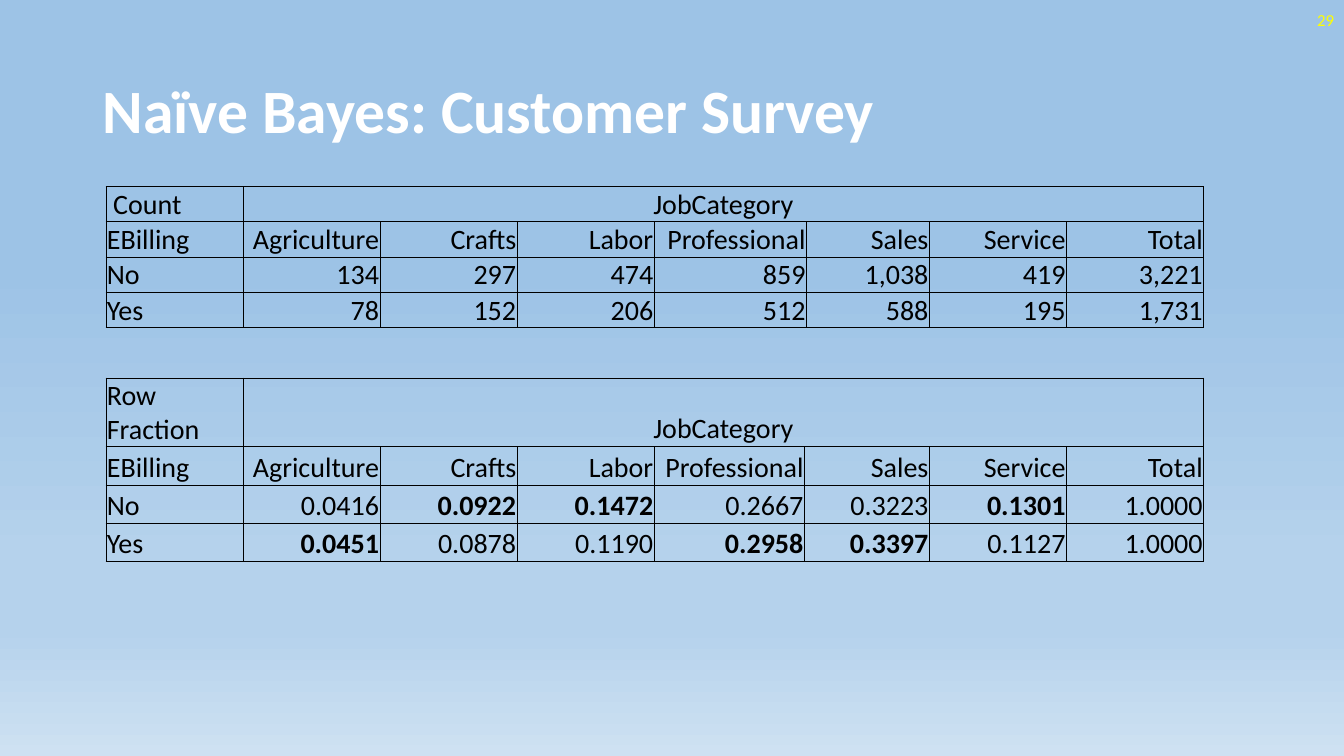
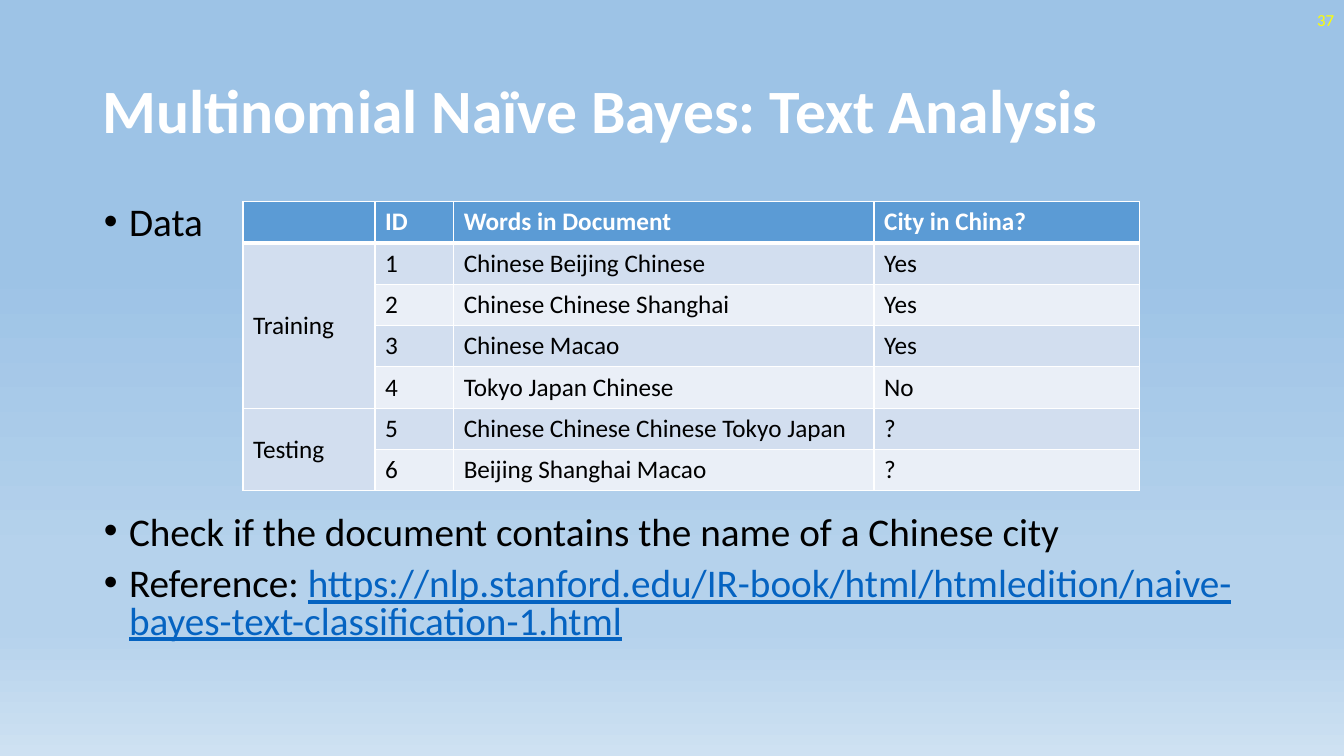
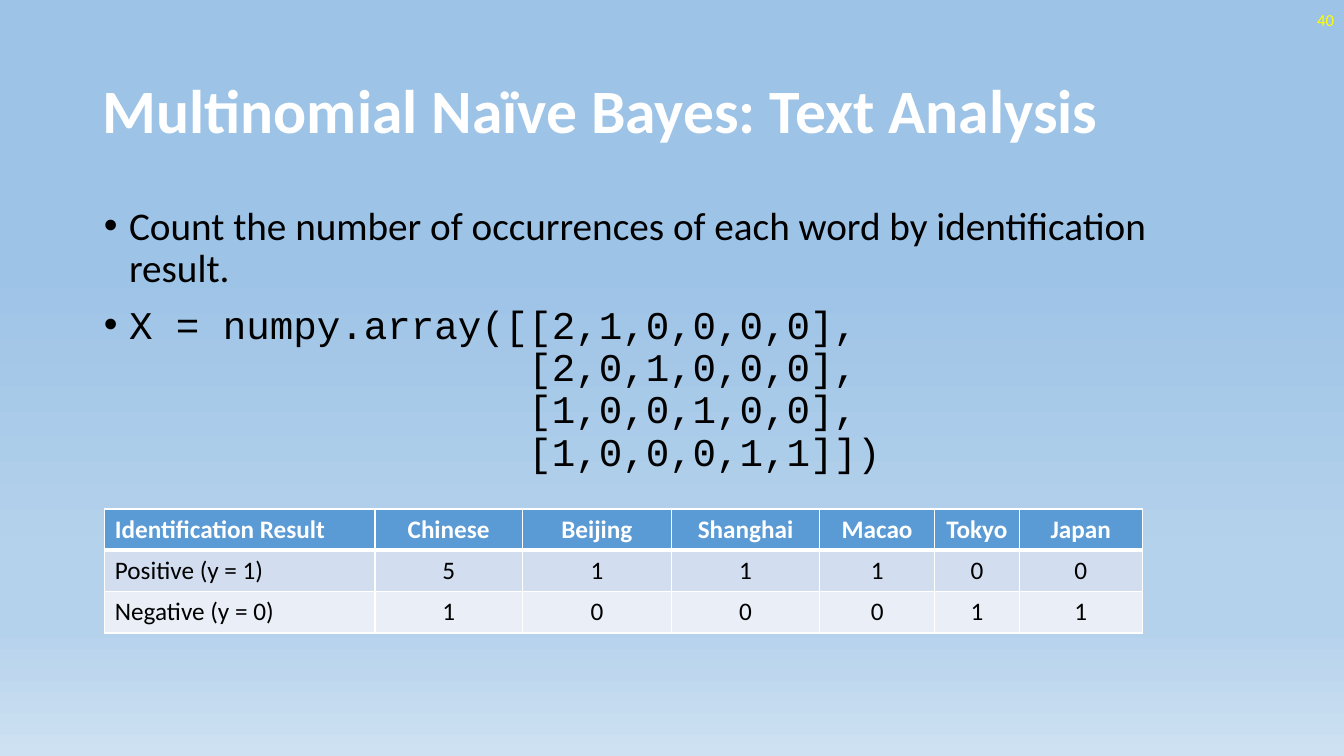
"""Build three lecture slides on naïve Bayes with tables of counts and documents."""
from lxml import etree
from pptx import Presentation
from pptx.dml.color import RGBColor
from pptx.enum.text import MSO_ANCHOR, MSO_AUTO_SIZE, PP_ALIGN
from pptx.oxml.ns import qn
from pptx.util import Inches, Pt

LEFT, CENTER, RIGHT = PP_ALIGN.LEFT, PP_ALIGN.CENTER, PP_ALIGN.RIGHT
MIDDLE, BOTTOM = MSO_ANCHOR.MIDDLE, MSO_ANCHOR.BOTTOM
NO_AUTOFIT = MSO_AUTO_SIZE.NONE

FONT, CODE_FONT = "Calibri", "Courier New"
BLACK, WHITE, YELLOW, LINK = "000000", "FFFFFF", "FFFF00", "0563C1"
HEADER, BANDS = "5B9BD5", ("D2DEEF", "EAEFF7")
SKY = [(35, "9DC3E6"), (74, "B5D2EC"), (83, "B5D2EC"), (100, "CEE1F2")]

TITLE_BOX = (0.92, 0.4, 11.5, 1.45)
BODY_BOX = (0.93, 2, 11.5, 4.76)
NUMBER_BOX = (10.33, 0, 3, 0.4)
TITLE_LAYOUT, BODY_LAYOUT = 5, 1

JOBS = ["EBilling", "Agriculture", "Crafts", "Labor", "Professional", "Sales", "Service", "Total"]
COUNTS = [
    ["No", "134", "297", "474", "859", "1,038", "419", "3,221"],
    ["Yes", "78", "152", "206", "512", "588", "195", "1,731"],
]
FRACTIONS = [
    ["No", "0.0416", "0.0922", "0.1472", "0.2667", "0.3223", "0.1301", "1.0000"],
    ["Yes", "0.0451", "0.0878", "0.1190", "0.2958", "0.3397", "0.1127", "1.0000"],
]
SURVEYS = [
    (" Count", COUNTS, 1.85, (1.51, 1.22), [0.35] * 4),
    ("Row Fraction", FRACTIONS, 3.75, (1.49, 1.24), [0.68] + [0.38] * 3),
]

DOCUMENTS = [
    ["", "ID", "Words in Document", "City in China?"],
    ["Training", "1", "Chinese Beijing Chinese", "Yes"],
    ["", "2", "Chinese Chinese Shanghai", "Yes"],
    ["", "3", "Chinese Macao", "Yes"],
    ["", "4", "Tokyo Japan Chinese", "No"],
    ["Testing", "5", "Chinese Chinese Chinese Tokyo Japan", "?"],
    ["", "6", "Beijing Shanghai Macao", "?"],
]
DOCUMENT_GROUPS = [(1, 4), (5, 6)]
TASK = [
    [("Data", {})],
    [("Check if the document contains the name of a Chinese city", {})],
    [("Reference: ", {}),
     ("https://nlp.stanford.edu/IR-book/html/htmledition/naive-bayes-text-classification-1.html",
      {"color": LINK, "underline": True})],
]

OCCURRENCES = [
    ["Identification Result", "Chinese", "Beijing", "Shanghai", "Macao", "Tokyo", "Japan"],
    ["Positive (y = 1)", "5", "1", "1", "1", "0", "0"],
    ["Negative (y = 0)", "1", "0", "0", "0", "1", "1"],
]
COUNTING = [
    [("Count the number of occurrences of each word by identification result.", {})],
    [("""X = numpy.array([[2,1,0,0,0,0],
                 [2,0,1,0,0,0],
                 [1,0,0,1,0,0],
                 [1,0,0,0,1,1]])""", {"name": CODE_FONT})],
]


def rgb(code):
    return RGBColor.from_string(code)


def style(paragraph, size, color=BLACK, bold=False, name=FONT, underline=False):
    for run in paragraph.runs:
        font = run.font
        font.size, font.name, font.bold = Pt(size), name, bold
        font.color.rgb = rgb(color)
        if underline:
            font.underline = True


def place(shape, box):
    shape.left, shape.top, shape.width, shape.height = map(Inches, box)


def paint_background(master):
    fill = master.background.fill
    fill.gradient()
    fill.gradient_angle = 270
    stops = next(master.element.iter(qn("a:gsLst")))
    for stop in list(stops):
        stops.remove(stop)
    for percent, code in SKY:
        stop = etree.SubElement(stops, qn("a:gs"), pos=str(percent * 1000))
        etree.SubElement(stop, qn("a:srgbClr"), val=code)


def start_slide(deck, layout, title, number):
    slide = deck.slides.add_slide(deck.slide_layouts[layout])
    heading = slide.shapes.title
    place(heading, TITLE_BOX)
    frame = heading.text_frame
    frame.text = title
    frame.auto_size, frame.vertical_anchor = NO_AUTOFIT, MIDDLE
    line = frame.paragraphs[0]
    line.alignment, line.line_spacing = LEFT, 0.9
    style(line, 44, WHITE, bold=True)

    page = slide.shapes.add_textbox(*map(Inches, NUMBER_BOX)).text_frame
    page.text = number
    page.word_wrap, page.vertical_anchor = True, MIDDLE
    page.paragraphs[0].alignment = RIGHT
    style(page.paragraphs[0], 12, YELLOW)
    return slide


def write_bullets(slide, bullets, spacing, gaps):
    body = slide.placeholders[1]
    place(body, BODY_BOX)
    frame = body.text_frame
    frame.auto_size, frame.word_wrap = NO_AUTOFIT, True
    for index, (pieces, gap) in enumerate(zip(bullets, gaps)):
        paragraph = frame.add_paragraph() if index else frame.paragraphs[0]
        properties = paragraph._p.get_or_add_pPr()
        properties.set("marL", str(Inches(0.25)))
        properties.set("indent", str(-Inches(0.25)))
        paragraph.line_spacing, paragraph.space_before = spacing, Pt(gap)
        for text, look in pieces:
            first, *rest = text.split("\n")
            paragraph.add_run().text = first
            for line in rest:
                paragraph.add_line_break()
                paragraph.add_run().text = line
            look_from = len(paragraph.runs) - 1 - len(rest)
            style_runs(paragraph.runs[look_from:], look)


def style_runs(runs, look):
    for run in runs:
        font = run.font
        font.size, font.name = Pt(28), look.get("name", FONT)
        font.color.rgb = rgb(look.get("color", BLACK))
        if look.get("underline"):
            font.underline = True


def draw_borders(cell, color, widths):
    properties = cell._tc.get_or_add_tcPr()
    for side, width in zip("LRTB", widths):
        line = etree.SubElement(properties, qn(f"a:ln{side}"), w=str(Pt(width)))
        fill = etree.SubElement(line, qn("a:solidFill"))
        etree.SubElement(fill, qn("a:srgbClr"), val=color)


def add_grid(slide, rows, corner, widths, heights):
    left, top = corner
    table = slide.shapes.add_table(
        len(rows), len(widths), Inches(left), Inches(top),
        Inches(sum(widths)), Inches(sum(heights))).table
    table.first_row = table.horz_banding = False
    for column, width in zip(table.columns, widths):
        column.width = Inches(width)
    for row, height in zip(table.rows, heights):
        row.height = Inches(height)
    return table


def fill_cell(cell, text, size, align, anchor, color=BLACK, bold=False):
    cell.text = text
    cell.vertical_anchor = anchor
    paragraph = cell.text_frame.paragraphs[0]
    paragraph.alignment = align
    style(paragraph, size, color, bold)


def add_survey(slide, label, values, top, middle_widths, heights, mark_larger):
    """Draw a cross table, with the larger value of each column in bold if asked."""
    rows = [[label, "JobCategory"] + [""] * (len(JOBS) - 2), JOBS] + values
    widths = [1.36] * 4 + list(middle_widths) + [1.36] * 2
    table = add_grid(slide, rows, (1.05, top), widths, heights)
    table.cell(0, 1).merge(table.cell(0, len(JOBS) - 1))
    for r, row in enumerate(rows):
        for c, text in enumerate(row):
            cell = table.cell(r, c)
            align = LEFT if c == 0 else CENTER if r == 0 else RIGHT
            bold = False
            if mark_larger and r > 1 and c > 0:
                bold = float(text) > min(float(line[c]) for line in values)
            draw_borders(cell, BLACK, [0.5] * 4)
            cell.fill.background()
            cell.margin_left = cell.margin_right = cell.margin_top = Inches(0.01)
            cell.margin_bottom = 0
            if not cell.is_spanned:
                fill_cell(cell, text, 20, align, BOTTOM, bold=bold)


def add_banded(slide, rows, corner, widths, align, groups=()):
    table = add_grid(slide, rows, corner, widths, [0.41] * len(rows))
    for first, last in groups:
        table.cell(first, 0).merge(table.cell(last, 0))
    for r, row in enumerate(rows):
        for c, text in enumerate(row):
            cell = table.cell(r, c)
            head = r == 0
            draw_borders(cell, WHITE, [1, 1, 3 if r == 1 else 1, 3 if head else 1])
            band = 0 if groups and c == 0 else (r - 1) % 2
            cell.fill.solid()
            cell.fill.fore_color.rgb = rgb(HEADER if head else BANDS[band])
            if not cell.is_spanned:
                fill_cell(cell, text, 18, align if c else LEFT, MIDDLE,
                          WHITE if head else BLACK, head)


def main():
    deck = Presentation()
    deck.slide_width, deck.slide_height = Inches(13.33), Inches(7.5)
    paint_background(deck.slide_master)

    survey = start_slide(deck, TITLE_LAYOUT, "Naïve Bayes: Customer Survey", "29")
    for label, values, top, middle_widths, heights in SURVEYS:
        add_survey(survey, label, values, top, middle_widths, heights, values is FRACTIONS)

    analysis = "Multinomial Naïve Bayes: Text Analysis"
    data = start_slide(deck, BODY_LAYOUT, analysis, "37")
    write_bullets(data, TASK, 0.8, [0, 194, 10])
    add_banded(data, DOCUMENTS, (2.41, 2), [1.31, 0.78, 4.17, 2.63], LEFT, DOCUMENT_GROUPS)

    counting = start_slide(deck, BODY_LAYOUT, analysis, "40")
    write_bullets(counting, COUNTING, 0.9, [0, 10])
    add_banded(counting, OCCURRENCES, (1.04, 5.05),
               [2.68, 1.46, 1.48, 1.47, 1.14, 0.84, 1.22], CENTER)

    deck.save("out.pptx")


if __name__ == "__main__":
    main()
